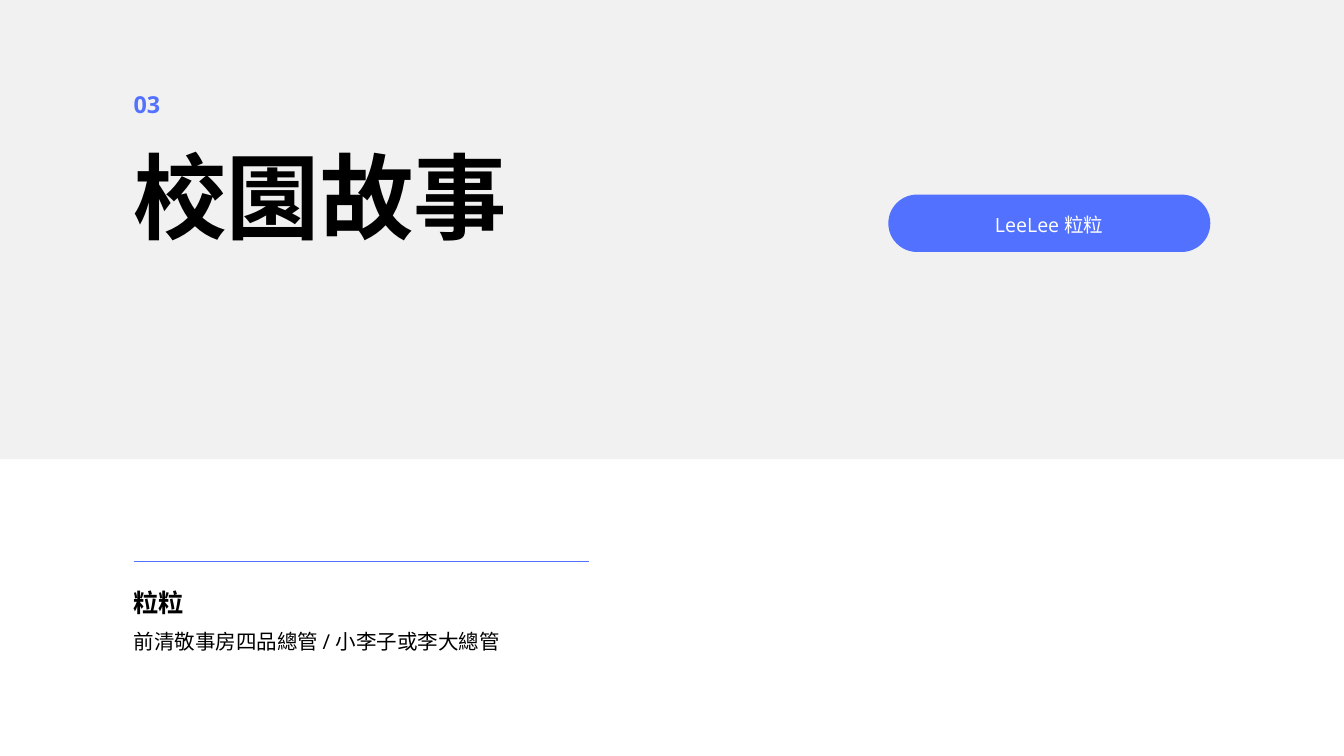
from lxml.etree import SubElement
from pptx import Presentation
from pptx.dml.color import RGBColor
from pptx.enum.shapes import MSO_CONNECTOR, MSO_SHAPE
from pptx.enum.text import MSO_ANCHOR, MSO_AUTO_SIZE, PP_ALIGN
from pptx.oxml.ns import qn
from pptx.util import Emu, Pt

GREY = RGBColor(0xF1, 0xF1, 0xF1)
BLUE = RGBColor(0x52, 0x71, 0xFF)
BLACK = RGBColor(0, 0, 0)
WHITE = RGBColor(0xFF, 0xFF, 0xFF)
FONT = "Open Sans"


def px(*values):
    """Turn pixels at 96 to the inch into EMU."""
    return [Emu(v * 9525) for v in values]


def write(sp, text, size, leading, color=BLACK, bold=False, align=PP_ALIGN.LEFT):
    """Fill a shape with one formatted line of text without insets."""
    tf = sp.text_frame
    tf.word_wrap = True
    tf.auto_size = MSO_AUTO_SIZE.NONE
    tf.vertical_anchor = MSO_ANCHOR.TOP
    tf.margin_left = tf.margin_right = tf.margin_top = tf.margin_bottom = 0
    p = tf.paragraphs[0]
    p.alignment = align
    p.line_spacing = Pt(leading)
    p.space_before = Pt(0)
    r = p.add_run()
    r.text = text
    r.font.name = FONT
    r.font.size = Pt(size)
    r.font.bold = bold
    r.font.color.rgb = color


def add_text(s, box, text, **fmt):
    """Add a text box and write into it."""
    write(s.shapes.add_textbox(*px(*box)), text, **fmt)


def add_block(s, kind, box, color):
    """Add a plain filled shape."""
    sp = s.shapes.add_shape(kind, *px(*box))
    sp.shadow.inherit = False
    sp.fill.solid()
    sp.fill.fore_color.rgb = color
    sp.line.fill.background()
    return sp


def add_header(s, box, number, title):
    """Place the grey band with the section number and title."""
    x, y, w, h = box
    band = add_block(s, MSO_SHAPE.RECTANGLE, box, GREY)
    sp = s.shapes.title
    sp.element.addprevious(band.element)
    sp.left, sp.top, sp.width, sp.height = px(x + 191, y + 212, 960, 150)
    write(sp, title, size=100, leading=110, bold=True)
    add_text(s, (x + 191, y + 132, 60, 37), number, size=25, leading=27.5, color=BLUE, bold=True)


def add_pill(s, box, label):
    """Place the rounded label."""
    x, y, w, h = box
    pill = add_block(s, MSO_SHAPE.ROUNDED_RECTANGLE, box, BLUE)
    pill.adjustments[0] = 0.5
    add_text(s, (x + 42, y + 20, w - 84, 38), label, size=21, leading=29.4,
             color=WHITE, align=PP_ALIGN.CENTER)


def add_profile(s, box, name, role):
    """Place a rule with a name and a role beneath it."""
    x, y, w, h = box
    line = s.shapes.add_connector(MSO_CONNECTOR.STRAIGHT, *px(x, y, x + w, y))
    line.line.color.rgb = BLUE
    line.line.width = Pt(1.5)
    SubElement(line.element.spPr, qn("a:effectLst"))
    add_text(s, (x, y + 30, w, 48), name, size=27, leading=37.8, bold=True)
    add_text(s, (x, y + 90, w, 40), role, size=22, leading=30.8)


def main():
    """Build the section slide."""
    prs = Presentation()
    prs.slide_width, prs.slide_height = px(1920, 1080)
    s = prs.slides.add_slide(prs.slide_layouts[5])
    add_header(s, (0, 0, 1920, 656), "03", "校園故事")
    add_pill(s, (1269, 278, 460, 82), "LeeLee 粒粒")
    add_profile(s, (191, 802, 651, 130), "粒粒", "前清敬事房四品總管 / 小李子或李大總管")
    prs.save("out.pptx")


if __name__ == "__main__":
    main()
